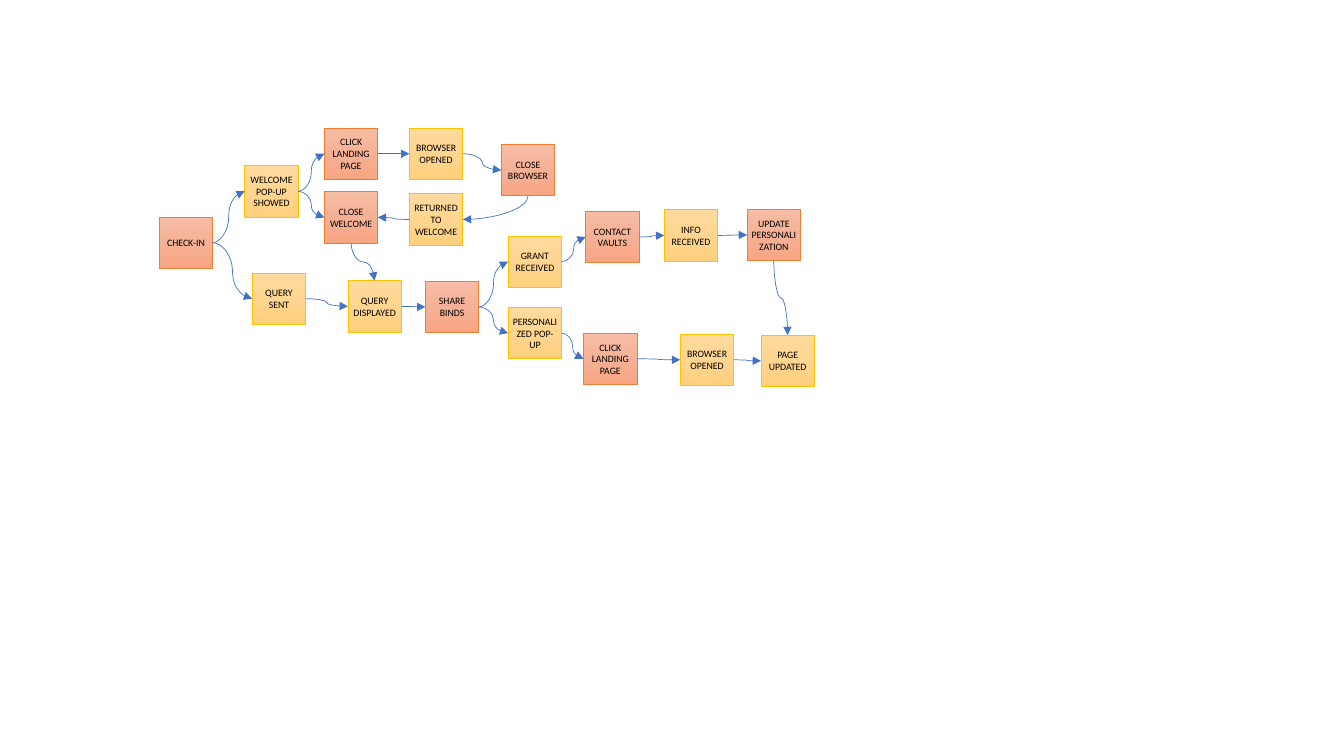
import copy

import lxml.etree
import pptx
import pptx.dml.color
import pptx.enum.shapes
import pptx.enum.text
import pptx.oxml.ns
import pptx.util

RGBColor = pptx.dml.color.RGBColor
BLACK = RGBColor(0x00, 0x00, 0x00)
ARROW_BLUE = RGBColor(0x44, 0x72, 0xC4)
ORANGE = RGBColor(0xED, 0x7D, 0x31)
GOLD = RGBColor(0xFF, 0xC0, 0x00)
ORANGE_STOPS = (RGBColor(0xF7, 0xBD, 0xA5), RGBColor(0xF5, 0xB1, 0x96), RGBColor(0xF8, 0xA5, 0x82))
GOLD_STOPS = (RGBColor(0xFF, 0xDB, 0x9E), RGBColor(0xFF, 0xD5, 0x90), RGBColor(0xFF, 0xD0, 0x7C))
USER_ACTION = (ORANGE, ORANGE_STOPS)
SYSTEM_EVENT = (GOLD, GOLD_STOPS)

COLUMN = pptx.util.Inches(0.53)
ROW = pptx.util.Inches(0.51)
GRID_LEFT = pptx.util.Inches(1.58)
GRID_TOP = pptx.util.Inches(1.27)
INSET = pptx.util.Inches(0.04)
LINE_WIDTH = pptx.util.Pt(0.5)
TOP, LEFT, BOTTOM, RIGHT = range(4)

STEPS = {
    "check_in": (0, 1.73, USER_ACTION, "CHECK-IN"),
    "welcome": (1.6, 0.73, SYSTEM_EVENT, "WELCOME POP-UP SHOWED"),
    "query_sent": (1.74, 2.82, SYSTEM_EVENT, "QUERY SENT"),
    "landing": (3.09, 0, USER_ACTION, "CLICK LANDING PAGE"),
    "close_welcome": (3.09, 1.24, USER_ACTION, "CLOSE\nWELCOME"),
    "browser": (4.68, 0, SYSTEM_EVENT, "BROWSER OPENED"),
    "returned": (4.68, 1.28, SYSTEM_EVENT, "RETURNED TO WELCOME"),
    "close_browser": (6.4, 0.32, USER_ACTION, "CLOSE BROWSER"),
    "query_shown": (3.53, 2.97, SYSTEM_EVENT, "QUERY DISPLAYED"),
    "share": (4.98, 2.98, USER_ACTION, "SHARE BINDS"),
    "grant": (6.53, 2.1, SYSTEM_EVENT, "GRANT RECEIVED"),
    "personal": (6.53, 3.49, SYSTEM_EVENT, "PERSONALIZED POP-UP"),
    "vaults": (7.98, 1.62, USER_ACTION, "CONTACT VAULTS"),
    "info": (9.45, 1.59, SYSTEM_EVENT, "INFO RECEIVED"),
    "update": (11, 1.58, USER_ACTION, "UPDATE PERSONALIZATION"),
    "second_landing": (7.94, 3.99, USER_ACTION, "CLICK LANDING PAGE"),
    "second_browser": (9.75, 4.01, SYSTEM_EVENT, "BROWSER OPENED"),
    "page": (11.26, 4.03, SYSTEM_EVENT, "PAGE UPDATED"),
}

SIDEWAYS_FLOWS = [
    ("check_in", "welcome"), ("check_in", "query_sent"),
    ("welcome", "landing"), ("welcome", "close_welcome"),
    ("landing", "browser"), ("browser", "close_browser"),
    ("query_sent", "query_shown"), ("query_shown", "share"),
    ("share", "grant"), ("share", "personal"),
    ("grant", "vaults"), ("vaults", "info"), ("info", "update"),
    ("personal", "second_landing"), ("second_landing", "second_browser"),
    ("second_browser", "page"),
]
DOWNWARD_FLOWS = [("close_welcome", "query_shown"), ("update", "page")]


def fill_gradient(shape, stop_colors):
    shape.fill.gradient()
    shape.fill.gradient_angle = 270
    stop_list = shape._element.spPr.find(".//" + pptx.oxml.ns.qn("a:gsLst"))
    stop_list.insert(1, copy.deepcopy(stop_list[0]))
    for stop, position, color in zip(shape.fill.gradient_stops, (0, 0.5, 1), stop_colors):
        stop.position = position
        stop.color.rgb = color


def write_label(shape, label):
    frame = shape.text_frame
    frame.word_wrap = True
    frame.vertical_anchor = pptx.enum.text.MSO_ANCHOR.MIDDLE
    frame.margin_left = frame.margin_right = INSET
    frame.margin_top = frame.margin_bottom = INSET
    for index, line in enumerate(label.split("\n")):
        paragraph = frame.add_paragraph() if index else frame.paragraphs[0]
        paragraph.alignment = pptx.enum.text.PP_ALIGN.CENTER
        run = paragraph.add_run()
        run.text = line
        run.font.name = "Calibri"
        run.font.size = pptx.util.Pt(7)
        run.font.color.rgb = BLACK


def add_step(slide, column, row, style, label):
    outline, stop_colors = style
    shape = slide.shapes.add_shape(
        pptx.enum.shapes.MSO_SHAPE.RECTANGLE,
        round(GRID_LEFT + column * COLUMN), round(GRID_TOP + row * ROW), COLUMN, ROW)
    shape.shadow.inherit = False
    fill_gradient(shape, stop_colors)
    shape.line.color.rgb = outline
    shape.line.width = LINE_WIDTH
    write_label(shape, label)
    return shape


def add_flow(slide, source, target, source_side=RIGHT, target_side=LEFT):
    connector = slide.shapes.add_connector(pptx.enum.shapes.MSO_CONNECTOR.CURVE, 0, 0, 0, 0)
    connector.begin_connect(source, source_side)
    connector.end_connect(target, target_side)
    connector.line.color.rgb = ARROW_BLUE
    connector.line.width = LINE_WIDTH
    line = connector.line._get_or_add_ln()
    lxml.etree.SubElement(line, pptx.oxml.ns.qn("a:tailEnd"), type="triangle")
    lxml.etree.SubElement(connector._element.spPr, pptx.oxml.ns.qn("a:effectLst"))
    return connector


def turn_flow(connector, degrees, flipped):
    left, top, width, height = connector.left, connector.top, connector.width, connector.height
    connector.left = left + (width - height) // 2
    connector.top = top + (height - width) // 2
    connector.width, connector.height = height, width
    transform = connector._element.spPr.find(pptx.oxml.ns.qn("a:xfrm"))
    transform.set("rot", str(degrees * 60000))
    transform.set("flipH", str(int(flipped)))
    transform.set("flipV", "0")


def main():
    presentation = pptx.Presentation()
    presentation.slide_width = pptx.util.Inches(13.33)
    presentation.slide_height = pptx.util.Inches(7.5)
    slide = presentation.slides.add_slide(presentation.slide_layouts[6])

    steps = {name: add_step(slide, *step) for name, step in STEPS.items()}
    for source, target in SIDEWAYS_FLOWS:
        add_flow(slide, steps[source], steps[target])
    add_flow(slide, steps["returned"], steps["close_welcome"], LEFT, RIGHT)
    for source, target in DOWNWARD_FLOWS:
        turn_flow(add_flow(slide, steps[source], steps[target], BOTTOM, TOP), 270, True)

    return_flow = add_flow(slide, steps["close_browser"], steps["returned"], BOTTOM, RIGHT)
    turn_flow(return_flow, 90, False)
    geometry = return_flow._element.spPr.find(pptx.oxml.ns.qn("a:prstGeom"))
    geometry.set("prst", "curvedConnector2")

    presentation.save("out.pptx")


if __name__ == "__main__":
    main()
